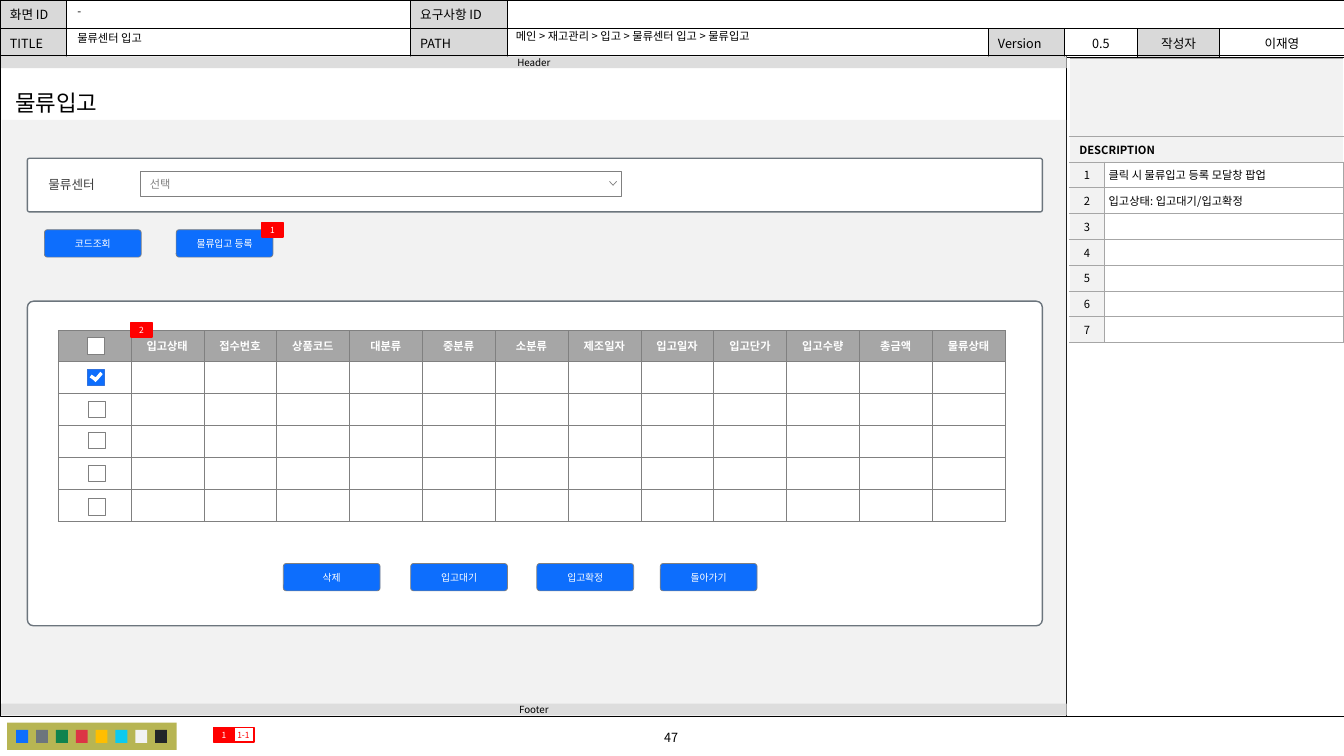
import pptx
import pptx.util
import pptx.dml.color
import pptx.enum.shapes
import pptx.enum.text
import pptx.oxml
import pptx.oxml.ns

Cm, Pt = pptx.util.Cm, pptx.util.Pt
RGB = pptx.dml.color.RGBColor
Kind = pptx.enum.shapes.MSO_SHAPE
Mid = pptx.enum.text.MSO_ANCHOR.MIDDLE
Top = pptx.enum.text.MSO_ANCHOR.TOP
Left = pptx.enum.text.PP_ALIGN.LEFT
Center = pptx.enum.text.PP_ALIGN.CENTER
qn = pptx.oxml.ns.qn

BLACK, WHITE = RGB(0, 0, 0), RGB(255, 255, 255)
LABEL, BAR, PALE = RGB(0xD9, 0xD9, 0xD9), RGB(0xDD, 0xDD, 0xDD), RGB(0xF2, 0xF2, 0xF2)
SILVER, GRAY, DARK = RGB(0xA6, 0xA6, 0xA6), RGB(0x80, 0x80, 0x80), RGB(0x40, 0x40, 0x40)
BLUE, EDGE, SLATE = RGB(0x0D, 0x6E, 0xFD), RGB(0x32, 0x72, 0xDD), RGB(0x6C, 0x75, 0x7D)
RED, OLIVE = RGB(255, 0, 0), RGB(0xB7, 0xB5, 0x53)
SWATCHES = [BLUE, SLATE, RGB(0x10, 0x83, 0x4E), RGB(0xDC, 0x35, 0x45), RGB(0xFF, 0xBE, 0),
            RGB(0x0D, 0xCA, 0xF0), PALE, RGB(0x21, 0x25, 0x29)]


class Board:
    """Draws the parts of a screen plan on one slide, with lengths in centimetres."""

    sans = "Noto Sans CJK KR"
    pad = (0.25, 0.13, 0.25, 0.13)
    flat = (0, 0, 0, 0)

    def __init__(self, slide):
        self.shapes = slide.shapes

    def inset(self, box, pad):
        box.margin_left, box.margin_top, box.margin_right, box.margin_bottom = map(Cm, pad)

    def letter(self, para, text, size, color=BLACK, align=Left, font=None, bold=False):
        para.alignment = align
        if not text:
            para._p.get_or_add_endParaRPr().set("sz", str(size * 100))
            return
        para.text = text
        para.font.size = Pt(size)
        para.font.bold = bold
        para.font.color.rgb = color
        para.font.name = font or self.sans
        props = para._p.pPr.find(qn("a:defRPr"))
        props.append(pptx.oxml.parse_xml(
            f'<a:ea {pptx.oxml.ns.nsdecls("a")} typeface="{self.sans}"/>'))

    def paint(self, shape, fill, line, width):
        shape.shadow.inherit = False
        if fill is None:
            shape.fill.background()
        else:
            shape.fill.solid()
            shape.fill.fore_color.rgb = fill
        if line is None:
            shape.line.fill.background()
        else:
            shape.line.color.rgb = line
            shape.line.width = Pt(width)

    def rect(self, x, y, w, h, fill=None, line=None, width=0.5, curve=None):
        kind = Kind.RECTANGLE if curve is None else Kind.ROUNDED_RECTANGLE
        shape = self.shapes.add_shape(kind, Cm(x), Cm(y), Cm(w), Cm(h))
        if curve is not None:
            shape.adjustments[0] = curve
        self.paint(shape, fill, line, width)
        return shape

    def label(self, shape, text, size, pad=flat, **style):
        frame = shape.text_frame
        frame.word_wrap = True
        frame.vertical_anchor = Mid
        self.inset(frame, pad)
        self.letter(frame.paragraphs[0], text, size, **style)

    def text(self, x, y, w, h, text, size, space=1.0, **style):
        frame = self.shapes.add_textbox(Cm(x), Cm(y), Cm(w), Cm(h)).text_frame
        frame.word_wrap = True
        frame.vertical_anchor = Top
        self.inset(frame, self.pad)
        frame.paragraphs[0].line_spacing = space
        self.letter(frame.paragraphs[0], text, size, **style)

    def line(self, x, y, end, stop):
        rule = self.shapes.add_connector(
            pptx.enum.shapes.MSO_CONNECTOR.STRAIGHT, Cm(x), Cm(y), Cm(end), Cm(stop))
        rule.line.color.rgb = BLACK
        rule.line.width = Pt(0.5)
        rule._element.spPr.append(pptx.oxml.parse_xml(
            f'<a:effectLst {pptx.oxml.ns.nsdecls("a")}/>'))

    def free(self, points, fill, line=None, close=True):
        dots = [(Cm(x), Cm(y)) for x, y in points]
        pen = self.shapes.build_freeform(*dots[0])
        pen.add_line_segments(dots[1:], close=close)
        self.paint(pen.convert_to_shape(), fill, line, 0.5)

    def grid(self, x, y, cols, rows):
        table = self.shapes.add_table(
            len(rows), len(cols), Cm(x), Cm(y), Cm(sum(cols)), Cm(sum(rows))).table
        table.first_row = table.horz_banding = False
        for col, size in zip(table.columns, cols):
            col.width = Cm(size)
        for row, size in zip(table.rows, rows):
            row.height = Cm(size)
        return table

    def cell(self, cell, text, size, fill, edge, width, sides="LRTB", pad=pad, **style):
        props = cell._tc.get_or_add_tcPr()
        for side in sides:
            props.append(pptx.oxml.parse_xml(
                f'<a:ln{side} {pptx.oxml.ns.nsdecls("a")} w="{Pt(width)}"><a:solidFill>'
                f'<a:srgbClr val="{edge}"/></a:solidFill></a:ln{side}>'))
        cell.fill.solid()
        cell.fill.fore_color.rgb = fill
        cell.vertical_anchor = Mid
        self.inset(cell, pad)
        self.letter(cell.text_frame.paragraphs[0], text, size, **style)

    def bar(self, y, text):
        self.label(self.rect(0.03, y, 26.85, 0.3, BAR), text, 7, align=Center)

    def badge(self, x, y, text, fill=RED, color=WHITE):
        shape = self.rect(x, y, 0.53, 0.36, fill, RED, 1)
        self.label(shape, text, 6, color=color, align=Center)

    def button(self, x, y, text):
        shape = self.rect(x, y, 2.44, 0.69, BLUE, GRAY, 0.5, 0.108)
        self.label(shape, text, 7, color=WHITE, align=Center, font="Cabin")

    def panel(self, y, h, curve):
        self.rect(0.69, y, 25.58, h, WHITE, SLATE, 1, curve)

    def check(self, x, y, fill=WHITE, line=GRAY):
        self.rect(x, y, 0.41, 0.41, fill, line)


def frame(board):
    info = [["화면 ID", "", "요구사항 ID", "", "", "", "", ""],
            ["TITLE", "", "PATH", "", "Version", "0.5", "작성자", "이재영"]]
    table = board.grid(0, 0, [1.68, 8.66, 2.44, 12.12, 1.93, 1.83, 2.08, 3.13], [0.71] * 2)
    table.cell(0, 3).merge(table.cell(0, 7))
    for r, row in enumerate(info):
        for c, text in enumerate(row):
            fill = LABEL if c % 2 == 0 and text else WHITE
            board.cell(table.cell(r, c), text, 9, fill, BLACK, 0.5,
                       align=Center if c > 4 else Left)
    board.rect(0, 1.4, 33.87, 16.66, None, BLACK, 0.25)
    board.text(13.64, 18.26, 6.55, 0.64, "47", 9, align=Center)
    board.line(26.87, 1.42, 26.87, 18.06)
    board.rect(0.18, 18.21, 4.27, 0.69, OLIVE)
    for i, color in enumerate(SWATCHES):
        board.rect(0.41 + 0.5 * i, 18.39, 0.3, 0.33, color)
    board.rect(0.05, 3.02, 26.82, 15.01, PALE)
    board.bar(17.73, "Footer")
    board.bar(1.42, "Header")


def notes(board):
    lines = ["클릭 시 물류입고 등록 모달창 팝업", "입고상태: 입고대기/입고확정"] + [""] * 5
    table = board.grid(26.95, 1.47, [0.89, 6.02], [1.96] + [0.65] * 8)
    for r, text in enumerate(["", "DESCRIPTION"]):
        table.cell(r, 0).merge(table.cell(r, 1))
        for c in range(2):
            board.cell(table.cell(r, c), "" if c else text, 8, PALE, SILVER, 0.5, "TB", bold=True)
    for r, text in enumerate(lines, 1):
        board.cell(table.cell(r + 1, 0), str(r), 8, PALE, SILVER, 0.5, "RTB",
                   board.flat, align=Center)
        board.cell(table.cell(r + 1, 1), text, 8, WHITE, SILVER, 0.5, "LRTB",
                   (0.1, 0.05, 0.1, 0.05))


def search(board):
    board.text(12.75, 0.66, 12.04, 0.58, "메인 > 재고관리 > 입고 > 물류센터 입고 > 물류입고", 8, 0.9)
    board.text(1.7, 0.03, 8.64, 0.58, "-", 8, 0.9)
    board.text(1.7, 0.71, 8.59, 0.51, "물류센터 입고", 8, 0.9)
    board.badge(5.87, 18.34, "1-1", None, RED)
    board.badge(5.38, 18.34, "1")
    board.text(0.13, 2.11, 2.85, 0.94, "물류입고", 16)
    board.panel(3.99, 1.35, 0.038)
    board.text(0.97, 4.34, 1.85, 0.64, "물류센터", 9, color=DARK)
    field = board.rect(3.53, 4.32, 12.14, 0.64, WHITE, GRAY)
    board.label(field, "선택", 8, (0.25, 0.15, 0.71, 0.15), color=GRAY, font="Cabin")
    board.free([(15.54, 4.57), (15.45, 4.67), (15.36, 4.57)], WHITE, GRAY, False)
    board.button(1.12, 5.79, "코드조회")
    board.button(4.44, 5.79, "물류입고 등록")
    board.badge(6.6, 5.61, "1")


def stock(board):
    heads = ["", "입고상태", "접수번호", "상품코드", "대분류", "중분류", "소분류", "제조일자",
             "입고일자", "입고단가", "입고수량", "총금액", "물류상태"]
    table = board.grid(1.46, 8.32, [23.88 / 13] * 13, [0.77] + [0.81] * 5)
    for r in range(6):
        for c, text in enumerate(heads):
            board.cell(table.cell(r, c), "" if r else text, 8, WHITE if r else SILVER,
                       GRAY, 0.25, pad=(0.15, 0.1, 0.15, 0.1),
                       color=WHITE, align=Center, bold=True)
    board.check(2.21, 9.3, BLUE, EDGE)
    board.free([(2.53, 9.37), (2.41, 9.51), (2.31, 9.44), (2.26, 9.51), (2.36, 9.58),
                (2.41, 9.63), (2.46, 9.58), (2.59, 9.43)], WHITE)
    board.check(2.21, 8.51)
    for y in (10.11, 10.9, 11.73, 12.57):
        board.check(2.24, y)
    for x, text in [(7.14, "삭제"), (10.35, "입고대기"), (13.53, "입고확정"), (16.64, "돌아가기")]:
        board.button(x, 14.2, text)
    board.badge(3.3, 8.13, "2")


def main():
    deck = pptx.Presentation()
    deck.slide_width, deck.slide_height = Cm(33.87), Cm(19.05)
    board = Board(deck.slides.add_slide(deck.slide_layouts[6]))
    frame(board)
    board.panel(7.59, 8.18, 0.019)
    notes(board)
    search(board)
    stock(board)
    deck.save("out.pptx")


if __name__ == "__main__":
    main()
